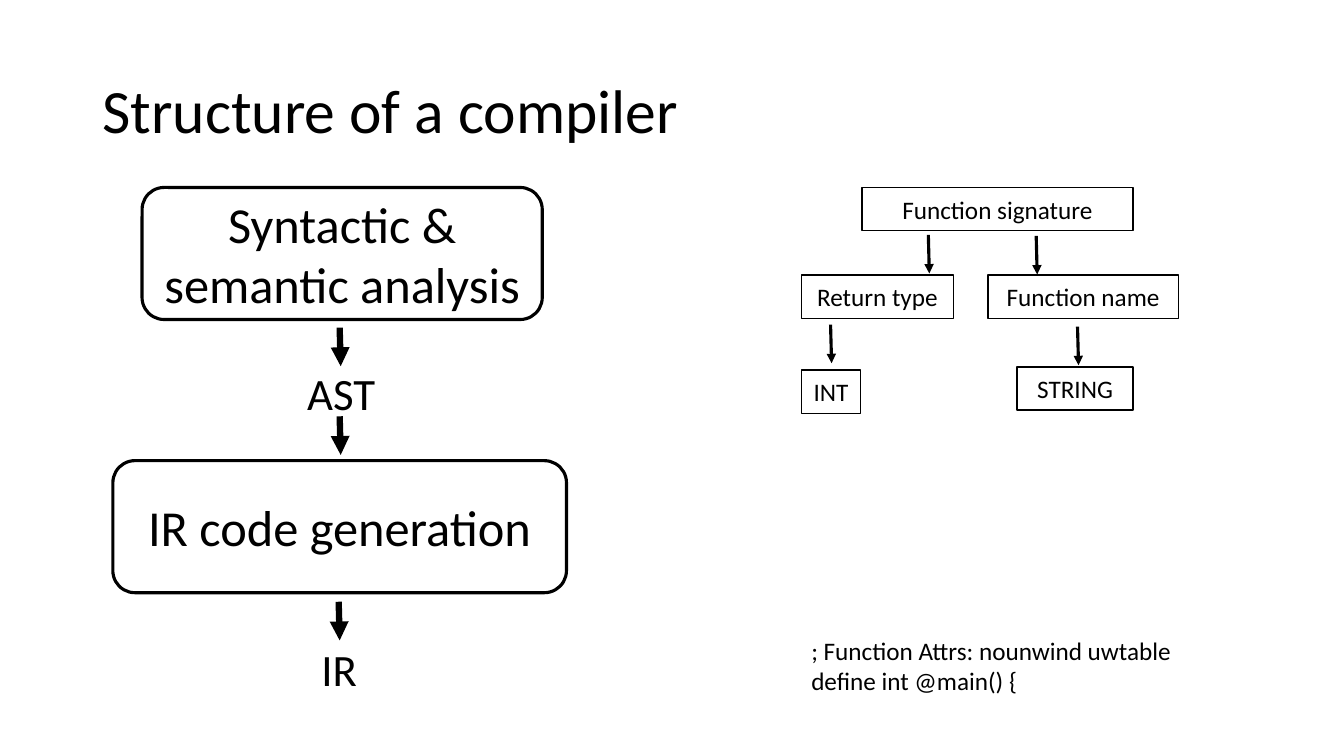
from dataclasses import dataclass
from pptx import Presentation
from pptx.dml.color import RGBColor
from pptx.enum.shapes import MSO_CONNECTOR as Link, MSO_SHAPE as Form
from pptx.enum.text import MSO_ANCHOR as Anchor, MSO_AUTO_SIZE as Fit, PP_ALIGN as Align
from pptx.oxml.ns import qn
from pptx.util import Inches, Pt
from lxml.etree import SubElement

BLACK = RGBColor(0, 0, 0)
FONT = "Calibri"

# Grid of 80 columns by 45 rows, in square cells
COLS, ROWS = 80, 45
CELL = Inches(7.5) / ROWS
STAGE_H, NODE_H = 7.86, 2.58
DRIFT, DROP = 0.06, 2.3


@dataclass
class Box:
    text: str
    col: float
    row: float
    wide: float
    high: float
    size: int
    form: Form = Form.RECTANGLE
    line: float = 1


@dataclass
class Label:
    lines: list[str]
    col: float
    row: float
    wide: float
    high: float
    size: int


@dataclass
class Arrow:
    col: float
    row: float
    line: float


def cells(*counts: float) -> list[int]:
    return [round(n * CELL) for n in counts]


def write(frame, lines: list[str], size: int, align: Align) -> None:
    for i, line in enumerate(lines):
        para = frame.paragraphs[0] if i == 0 else frame.add_paragraph()
        para.alignment = align
        run = para.add_run()
        run.text = line
        run.font.name = FONT
        run.font.size = Pt(size)
        run.font.color.rgb = BLACK


def draw_box(box: Box) -> None:
    shape = slide.shapes.add_shape(
        box.form, *cells(box.col, box.row, box.wide, box.high))
    shape.shadow.inherit = False
    shape.fill.background()
    shape.line.color.rgb = BLACK
    shape.line.width = Pt(box.line)
    shape.text_frame.word_wrap = True
    shape.text_frame.vertical_anchor = Anchor.MIDDLE
    write(shape.text_frame, [box.text], box.size, Align.CENTER)


def draw_label(label: Label):
    shape = slide.shapes.add_textbox(
        *cells(label.col, label.row, label.wide, label.high))
    frame = shape.text_frame
    frame.word_wrap = False
    frame.auto_size = Fit.SHAPE_TO_FIT_TEXT
    write(frame, label.lines, label.size, Align.LEFT)
    return frame


def draw_arrow(arrow: Arrow) -> None:
    link = slide.shapes.add_connector(Link.STRAIGHT, *cells(
        arrow.col, arrow.row, arrow.col + DRIFT, arrow.row + DROP))
    link.line.color.rgb = BLACK
    link.line.width = Pt(arrow.line)
    SubElement(link.line._get_or_add_ln(), qn("a:tailEnd"), type="triangle")
    SubElement(link._element.spPr, qn("a:effectLst"))


def stage(text: str, col: float, row: float, wide: float) -> Box:
    return Box(text, col, row, wide, STAGE_H, 36, Form.ROUNDED_RECTANGLE, 2.25)


def node(text: str, col: float, row: float, wide: float) -> Box:
    return Box(text, col, row, wide, NODE_H, 18)


deck = Presentation()
deck.slide_width, deck.slide_height = cells(COLS, ROWS)
slide = deck.slides.add_slide(deck.slide_layouts[6])

# Title
title = draw_label(Label(["Structure of a compiler"], 5.52, 2.4, 69, 8.7, 44))
title.auto_size = Fit.NONE
title.word_wrap = True
title.vertical_anchor = Anchor.MIDDLE
title.paragraphs[0].line_spacing = 0.9

# Compiler stages, then the syntax tree
TOP, MID, LEFT = 11.16, 16.38, 47.7
boxes = [
    stage("Syntactic & semantic analysis", 8.46, TOP, 23.82),
    stage("IR code generation", 6.72, 27.42, 27),
    node("Function signature", 51.3, TOP, 16.14),
    node("Return type", LEFT, MID, 9.06),
    node("Function name", 58.8, MID, 11.34),
    node("INT", LEFT, 22.02, 3.54),
    node("STRING", 60.54, 21.84, 6.9),
]
for box in boxes:
    draw_box(box)

# Stage results and the code, each wide enough for its longest line
labels = [
    Label(["AST"], 17.7, 21.48, 5.5, 3.84, 32),
    Label(["IR"], 18.54, 37.92, 3.6, 3.84, 32),
    Label(["; Function Attrs: nounwind uwtable", "define int @main() {"],
          LEFT, 37.5, 22.92, 4.26, 18),
]
for label in labels:
    draw_label(label)

# Arrows: thick between stages, thin in the tree
flow = [(20.22, 19.5), (20.22, 24.78), (20.16, 35.82)]
tree = [(55.26, 13.98), (61.68, 14.04), (49.44, 19.32), (64.14, 19.44)]
for spots, line in ((flow, 4.5), (tree, 2.25)):
    for col, row in spots:
        draw_arrow(Arrow(col, row, line))

deck.save("out.pptx")
